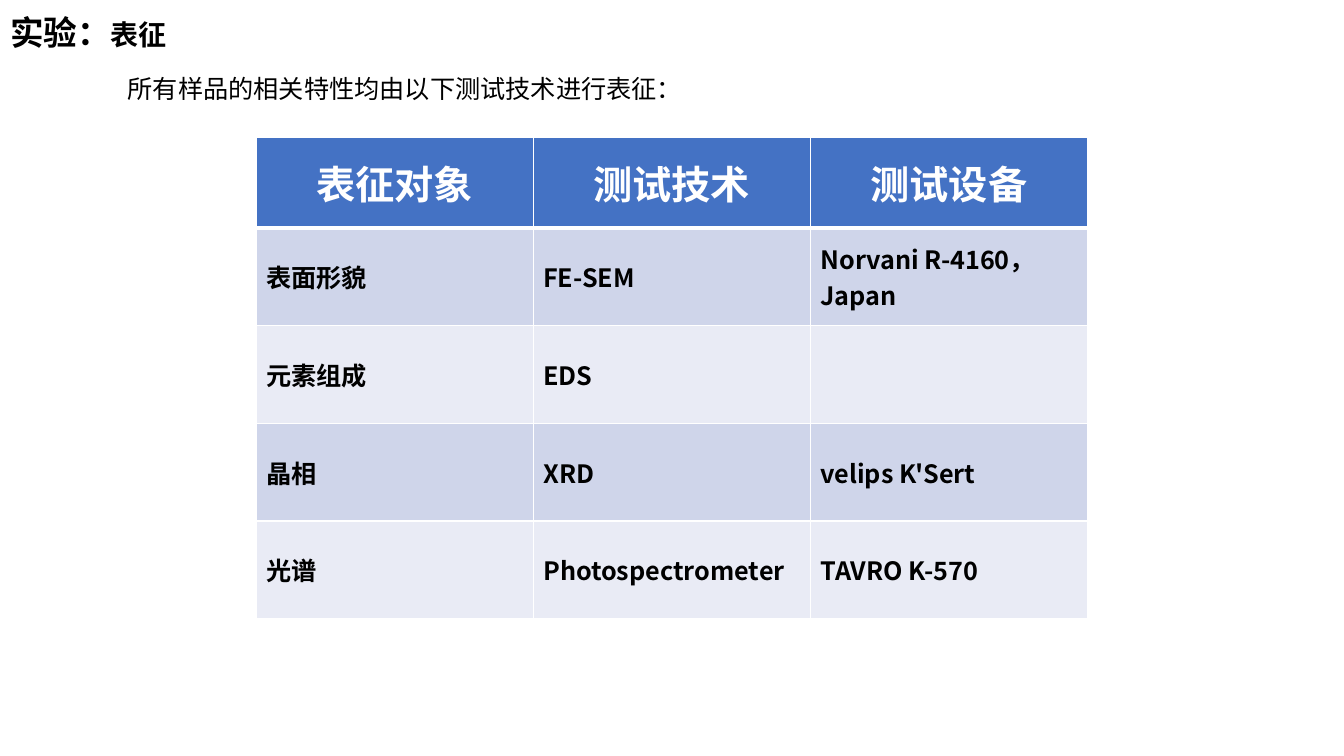
from dataclasses import dataclass

from lxml.etree import SubElement
from pptx import Presentation
from pptx.dml.color import RGBColor
from pptx.enum.text import MSO_ANCHOR, MSO_AUTO_SIZE, PP_ALIGN
from pptx.oxml import parse_xml
from pptx.oxml.ns import nsdecls, qn
from pptx.util import Cm, Pt


@dataclass(frozen=True)
class Theme:
    font: str = "Noto Sans CJK SC"
    text: str = "000000"
    white: str = "FFFFFF"
    header: str = "4472C4"
    bands: tuple[str, str] = ("CFD5EA", "E9EBF5")
    title_size: int = 24
    subtitle_size: int = 20
    header_size: int = 28
    body_size: int = 18


@dataclass(frozen=True)
class Box:
    left: float
    top: float
    width: float
    height: float


@dataclass(frozen=True)
class RowStyle:
    fill: str
    color: str
    size: int
    align: PP_ALIGN
    top_border: int
    bottom_border: int


THEME = Theme()
TITLE_BOX = Box(0, 0, 8.33, 1.73)
INTRO_BOX = Box(2.97, 1.73, 15.16, 1.02)
TABLE_BOX = Box(6.45, 3.47, 20.96, 12.12)
HEADER_HEIGHT = 2.27
ROWS = [
    ("表征对象", "测试技术", "测试设备"),
    ("表面形貌", "FE-SEM", "Norvani R-4160，Japan"),
    ("元素组成", "EDS", ""),
    ("晶相", "XRD", "velips K'Sert"),
    ("光谱", "Photospectrometer", "TAVRO K-570"),
]


def place(box: Box) -> tuple:
    return Cm(box.left), Cm(box.top), Cm(box.width), Cm(box.height)


def format_run(r, size: int, color: str, bold: bool) -> None:
    r.font.size = Pt(size)
    r.font.bold = bold
    r.font.color.rgb = RGBColor.from_string(color)
    r.font.name = THEME.font
    SubElement(r.font._element, qn("a:ea")).set("typeface", THEME.font)


def add_title(slide) -> None:
    sp = slide.shapes.title
    sp.left, sp.top, sp.width, sp.height = place(TITLE_BOX)
    tf = sp.text_frame
    tf.vertical_anchor = MSO_ANCHOR.MIDDLE
    tf.auto_size = MSO_AUTO_SIZE.NONE
    p = tf.paragraphs[0]
    p.alignment = PP_ALIGN.LEFT
    p.line_spacing = 0.9
    for text, size in (("实验：", THEME.title_size), ("表征", THEME.subtitle_size)):
        r = p.add_run()
        r.text = text
        format_run(r, size, THEME.text, True)


def add_intro(slide) -> None:
    tf = slide.shapes.add_textbox(*place(INTRO_BOX)).text_frame
    tf.word_wrap = False
    tf.auto_size = MSO_AUTO_SIZE.SHAPE_TO_FIT_TEXT
    tf.text = "所有样品的相关特性均由以下测试技术进行表征："
    format_run(tf.paragraphs[0].runs[0], THEME.body_size, THEME.text, False)


def set_borders(cell, top: int, bottom: int) -> None:
    tc_pr = cell._tc.get_or_add_tcPr()
    for i, (side, width) in enumerate((("L", 1), ("R", 1), ("T", top), ("B", bottom))):
        tc_pr.insert(i, parse_xml(
            f'<a:ln{side} {nsdecls("a")} w="{Pt(width)}"><a:solidFill>'
            f'<a:srgbClr val="{THEME.white}"/></a:solidFill></a:ln{side}>'))


def format_cell(cell, text: str, style: RowStyle) -> None:
    cell.vertical_anchor = MSO_ANCHOR.MIDDLE
    cell.fill.solid()
    cell.fill.fore_color.rgb = RGBColor.from_string(style.fill)
    set_borders(cell, style.top_border, style.bottom_border)
    cell.text_frame.text = text
    p = cell.text_frame.paragraphs[0]
    p.alignment = style.align
    for r in p.runs:
        format_run(r, style.size, style.color, True)


def row_style(index: int) -> RowStyle:
    if index == 0:
        return RowStyle(THEME.header, THEME.white, THEME.header_size, PP_ALIGN.CENTER, 1, 3)
    return RowStyle(THEME.bands[(index - 1) % 2], THEME.text, THEME.body_size,
                    PP_ALIGN.LEFT, 3 if index == 1 else 1, 1)


def add_methods_table(slide) -> None:
    table = slide.shapes.add_table(len(ROWS), len(ROWS[0]), *place(TABLE_BOX)).table
    body_height = (TABLE_BOX.height - HEADER_HEIGHT) / (len(ROWS) - 1)
    for i, texts in enumerate(ROWS):
        table.rows[i].height = Cm(body_height if i else HEADER_HEIGHT)
        for j, text in enumerate(texts):
            format_cell(table.cell(i, j), text, row_style(i))


def main() -> None:
    prs = Presentation()
    prs.slide_width, prs.slide_height = Cm(33.87), Cm(19.05)
    slide = prs.slides.add_slide(prs.slide_layouts[5])
    add_title(slide)
    add_methods_table(slide)
    add_intro(slide)
    prs.save("out.pptx")


if __name__ == "__main__":
    main()
